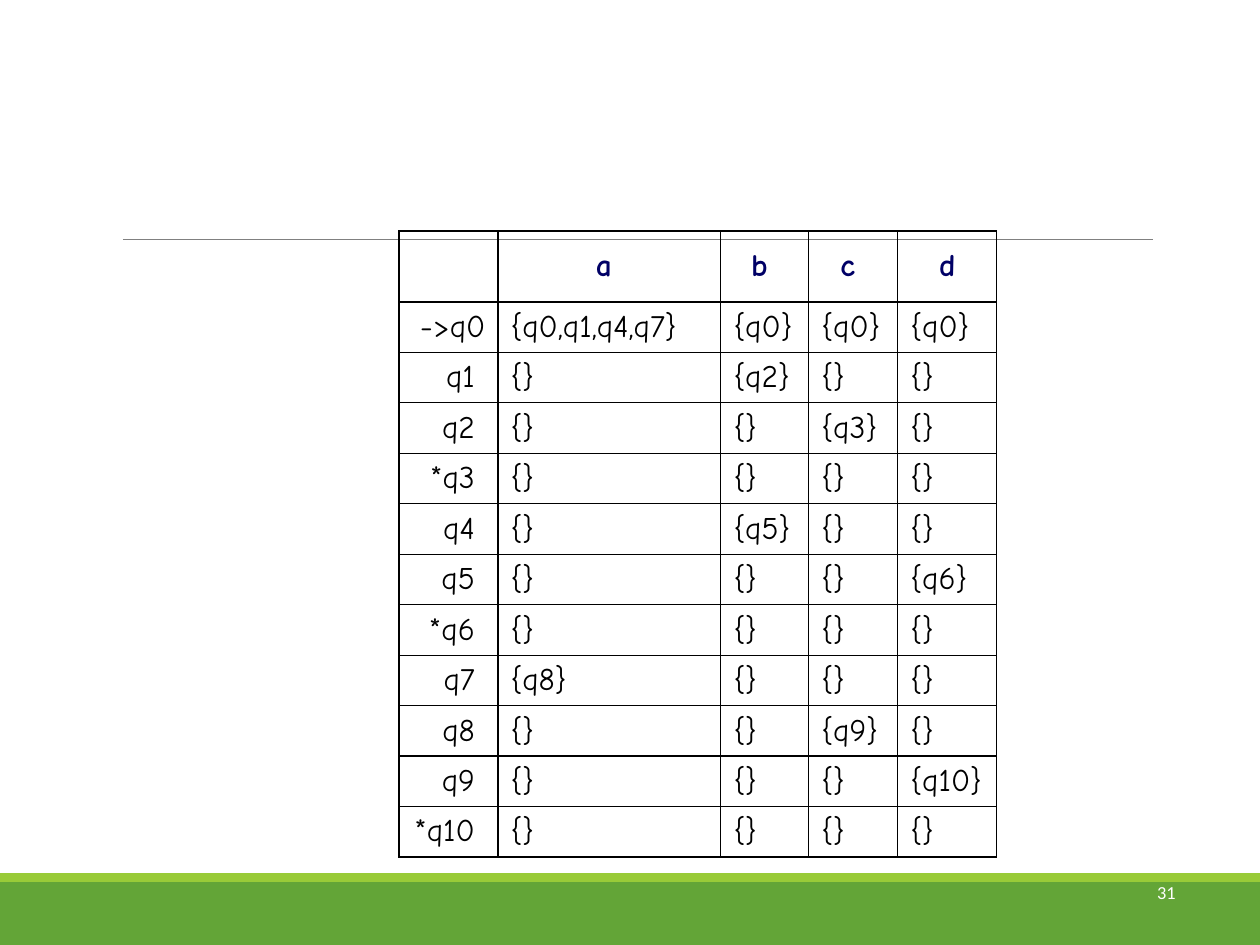
from dataclasses import dataclass

from lxml.etree import SubElement
from pptx import Presentation
from pptx.dml.color import RGBColor
from pptx.enum.shapes import MSO_CONNECTOR as Connector, MSO_SHAPE as Shape
from pptx.enum.text import MSO_ANCHOR as Anchor, PP_ALIGN as Align
from pptx.oxml.ns import qn
from pptx.util import Emu, Pt


@dataclass(frozen=True)
class Theme:
    band: str = "63A537"
    stripe: str = "99CB38"
    rule: str = "808080"
    grid: str = "000000"
    symbol: str = "000066"
    state: str = "000000"
    number: str = "FFFFFF"
    table_font: str = "Comic Neue"
    number_font: str = "Calibri"
    table_size: float = 18
    number_size: float = 10.5
    rule_width: float = 0.5
    grid_width: float = 0.75


THEME = Theme()
EMU_PER_PX = 914400 / 126
SLIDE_WIDTH, SLIDE_HEIGHT = 1260, 945
COLUMN_WIDTHS = (99, 223, 88, 89, 99)
HEADER_HEIGHT = 71
HANGING = 47
EMPTY = "{}"
ALPHABET = ("a ", "b ", "c ", "d")
STATES = ("->q0 ", "q1 ", "q2 ", "*q3 ", "q4 ", "q5 ", "*q6 ", "q7 ", "q8 ", "q9 ", "*q10 ")
MOVES = {
    0: {"a": "{q0,q1,q4,q7}", "b": "{q0}", "c": "{q0}", "d": "{q0}"},
    1: {"b": "{q2}"},
    2: {"c": "{q3}"},
    4: {"b": "{q5}"},
    5: {"d": "{q6}"},
    7: {"a": "{q8}"},
    8: {"c": "{q9}"},
    9: {"d": "{q10}"},
}


def px(length):
    return Emu(round(length * EMU_PER_PX))


def rgb(color):
    return RGBColor.from_string(color)


def add_run(paragraph, text, font, size, color, bold=False):
    run = paragraph.add_run()
    run.text = text
    run.font.name = font
    run.font.size = Pt(size)
    run.font.bold = bold
    run.font.color.rgb = rgb(color)


def add_bar(slide, left, top, width, height, color):
    bar = slide.shapes.add_shape(Shape.RECTANGLE, px(left), px(top), px(width), px(height))
    bar.shadow.inherit = False
    bar.fill.solid()
    bar.fill.fore_color.rgb = rgb(color)
    bar.line.fill.background()


def add_rule(slide, left, top, width):
    rule = slide.shapes.add_connector(
        Connector.STRAIGHT, px(left), px(top), px(left + width), px(top)
    )
    rule.line.color.rgb = rgb(THEME.rule)
    rule.line.width = Pt(THEME.rule_width)
    SubElement(rule._element.spPr, qn("a:effectLst"))


def add_footer(slide, left, top, width, height):
    stripe_height = 9
    add_bar(slide, left, top + stripe_height, width, height - stripe_height, THEME.band)
    add_bar(slide, left, top, width, stripe_height, THEME.stripe)
    number = slide.shapes.add_textbox(px(left + 926), px(top - 12), px(262), px(63))
    frame = number.text_frame
    frame.word_wrap = True
    frame.vertical_anchor = Anchor.MIDDLE
    paragraph = frame.paragraphs[0]
    paragraph.alignment = Align.RIGHT
    add_run(paragraph, "31", THEME.number_font, THEME.number_size, THEME.number)


def add_borders(cell):
    properties = cell._tc.get_or_add_tcPr()
    for position, side in enumerate(("lnL", "lnR", "lnT", "lnB")):
        border = SubElement(properties, qn(f"a:{side}"), w=str(Pt(THEME.grid_width)))
        fill = SubElement(border, qn("a:solidFill"))
        SubElement(fill, qn("a:srgbClr"), val=THEME.grid)
        properties.insert(position, border)


def fill_cell(cell, text, alignment, color, bold):
    cell.fill.background()
    add_borders(cell)
    cell.vertical_anchor = Anchor.MIDDLE
    if not text:
        return
    paragraph = cell.text_frame.paragraphs[0]
    paragraph.alignment = alignment
    indents = paragraph._p.get_or_add_pPr()
    indents.set("marL", str(px(HANGING)))
    indents.set("indent", str(-px(HANGING)))
    add_run(paragraph, text, THEME.table_font, THEME.table_size, color, bold)


def transition_rows():
    yield ("", *ALPHABET)
    for index, state in enumerate(STATES):
        moves = MOVES.get(index, {})
        yield (state, *(moves.get(symbol.strip(), EMPTY) for symbol in ALPHABET))


def add_transition_table(slide, left, top, width, height):
    rows = list(transition_rows())
    table = slide.shapes.add_table(
        len(rows), len(COLUMN_WIDTHS), px(left), px(top), px(width), px(height)
    ).table
    table.first_row = False
    table.horz_banding = False
    for column, column_width in zip(table.columns, COLUMN_WIDTHS):
        column.width = px(column_width)
    state_height = (height - HEADER_HEIGHT) / len(STATES)
    for r, texts in enumerate(rows):
        header = r == 0
        table.rows[r].height = px(HEADER_HEIGHT if header else state_height)
        for c, text in enumerate(texts):
            alignment = Align.CENTER if header else Align.RIGHT if c == 0 else Align.LEFT
            color = THEME.symbol if header else THEME.state
            fill_cell(table.cell(r, c), text, alignment, color, header)


def main():
    deck = Presentation()
    deck.slide_width, deck.slide_height = px(SLIDE_WIDTH), px(SLIDE_HEIGHT)
    slide = deck.slides.add_slide(deck.slide_layouts[6])
    add_footer(slide, 0, 873, SLIDE_WIDTH, 72)
    add_rule(slide, 123, 239, 1030)
    add_transition_table(slide, 399, 231, sum(COLUMN_WIDTHS), 626)
    deck.save("out.pptx")


if __name__ == "__main__":
    main()
